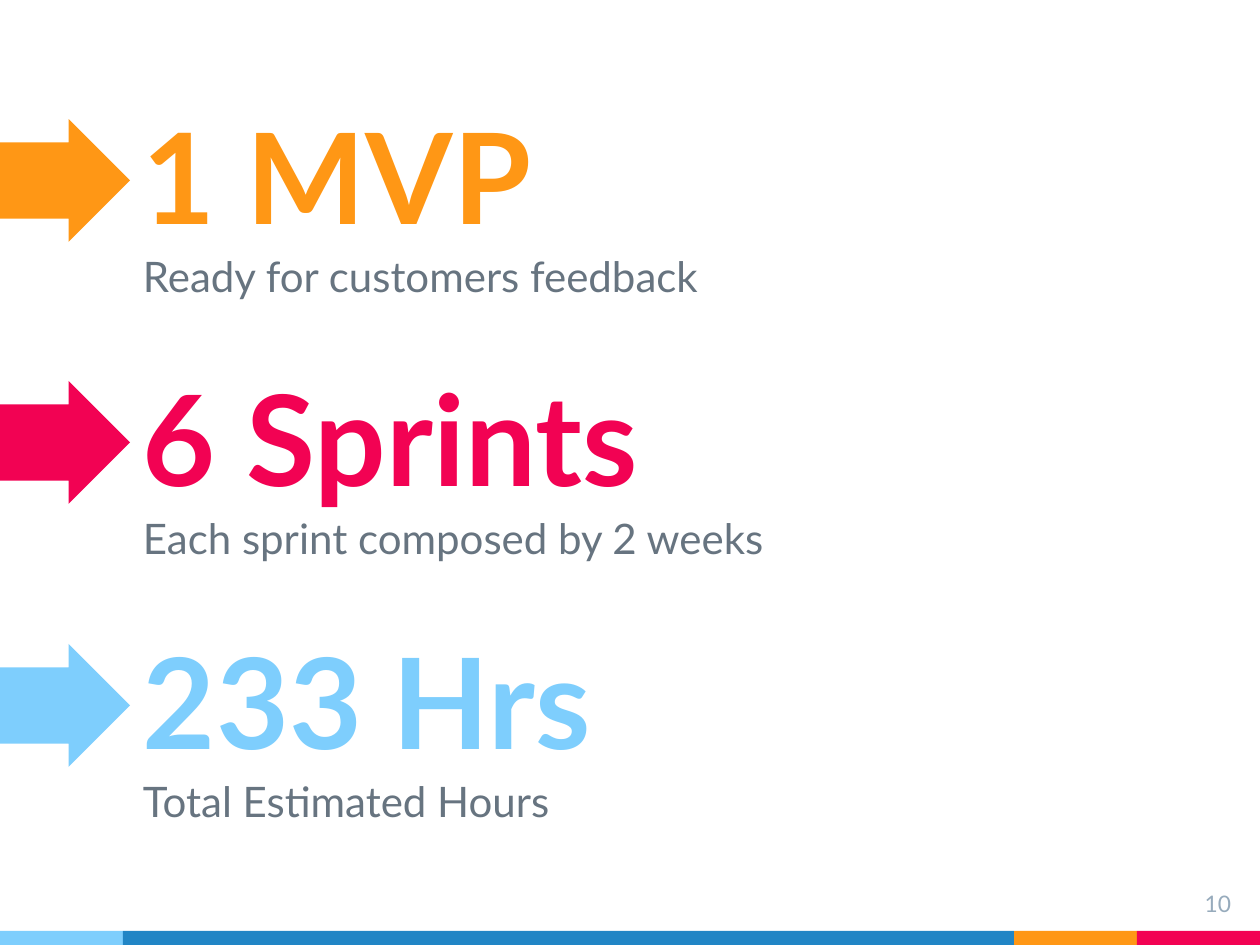
from dataclasses import dataclass

from pptx import Presentation
from pptx.dml.color import RGBColor
from pptx.enum.shapes import MSO_SHAPE
from pptx.enum.text import MSO_ANCHOR, PP_ALIGN
from pptx.util import Pt

RECTANGLE, RIGHT_ARROW = MSO_SHAPE.RECTANGLE, MSO_SHAPE.RIGHT_ARROW
TOP, BOTTOM = MSO_ANCHOR.TOP, MSO_ANCHOR.BOTTOM
LEFT, RIGHT = PP_ALIGN.LEFT, PP_ALIGN.RIGHT

EMU_PER_PX = 914400 // 126
SLIDE_WIDTH, SLIDE_HEIGHT = 1260, 945
FONT = "Lato"
ORANGE, PINK, SKY, BLUE = "FF9715", "F20253", "7ECEFD", "2185C5"
SLATE, PALE_SLATE = "677480", "97ABBC"
INSET = 13


@dataclass(frozen=True)
class Box:
    left: int
    top: int
    width: int
    height: int

    def emu(self) -> list[int]:
        return [px(n) for n in (self.left, self.top, self.width, self.height)]


@dataclass(frozen=True)
class TextStyle:
    size: int
    color: str
    bold: bool = False
    anchor: MSO_ANCHOR = TOP
    alignment: PP_ALIGN = LEFT
    space_before: int = 0


@dataclass(frozen=True)
class Figure:
    headline: str
    caption: str
    color: str


def px(length: int) -> int:
    return length * EMU_PER_PX


def rgb(color: str) -> RGBColor:
    return RGBColor.from_string(color)


def set_attributes(target, values: dict) -> None:
    for name, value in values.items():
        setattr(target, name, value)


def add_block(slide, kind: MSO_SHAPE, box: Box, color: str):
    shape = slide.shapes.add_shape(kind, *box.emu())
    shape.shadow.inherit = False
    shape.fill.solid()
    shape.fill.fore_color.rgb = rgb(color)
    shape.line.fill.background()
    return shape


def add_text(slide, box: Box, text: str, style: TextStyle) -> None:
    frame = slide.shapes.add_textbox(*box.emu()).text_frame
    margins = {f"margin_{side}": px(INSET) for side in ("left", "top", "right", "bottom")}
    set_attributes(frame, {"word_wrap": True, "vertical_anchor": style.anchor, **margins})
    paragraph = frame.paragraphs[0]
    set_attributes(paragraph, {"alignment": style.alignment,
                               "space_before": Pt(style.space_before)})
    run = paragraph.add_run()
    run.text = text
    set_attributes(run.font, {"name": FONT, "size": Pt(style.size), "bold": style.bold})
    run.font.color.rgb = rgb(style.color)


def add_figure(slide, figure: Figure, top: int) -> None:
    arrow = add_block(slide, RIGHT_ARROW, Box(0, top + 21, 130, 123), figure.color)
    arrow.adjustments[0] = 0.62
    arrow.adjustments[1] = 0.5
    add_text(slide, Box(130, top, 1036, 165), figure.headline,
             TextStyle(72, figure.color, bold=True, anchor=BOTTOM))
    add_text(slide, Box(130, top + 140, 1036, 86), figure.caption,
             TextStyle(24, SLATE, space_before=6))


def add_footer_bar(slide, segments: list[tuple[int, str]], height: int) -> None:
    left = 0
    for width, color in segments:
        add_block(slide, RECTANGLE, Box(left, SLIDE_HEIGHT - height, width, height), color)
        left += width


def main() -> None:
    presentation = Presentation()
    presentation.slide_width = px(SLIDE_WIDTH)
    presentation.slide_height = px(SLIDE_HEIGHT)
    slide = presentation.slides.add_slide(presentation.slide_layouts[6])

    # Coloured bar along the bottom edge
    add_footer_bar(slide, [(123, SKY), (891, BLUE), (123, ORANGE), (123, PINK)], 14)

    # Three key figures at an equal pitch
    figures = [
        Figure("1 MVP", "Ready for customers feedback", ORANGE),
        Figure("6 Sprints", "Each sprint composed by 2 weeks", PINK),
        Figure("233 Hrs", "Total Estimated Hours", SKY),
    ]
    for index, figure in enumerate(figures):
        add_figure(slide, figure, 98 + round(262.5 * index))

    # Page number
    add_text(slide, Box(1168, 877, 76, 58), "10",
             TextStyle(13, PALE_SLATE, alignment=RIGHT))

    presentation.save("out.pptx")


if __name__ == "__main__":
    main()
